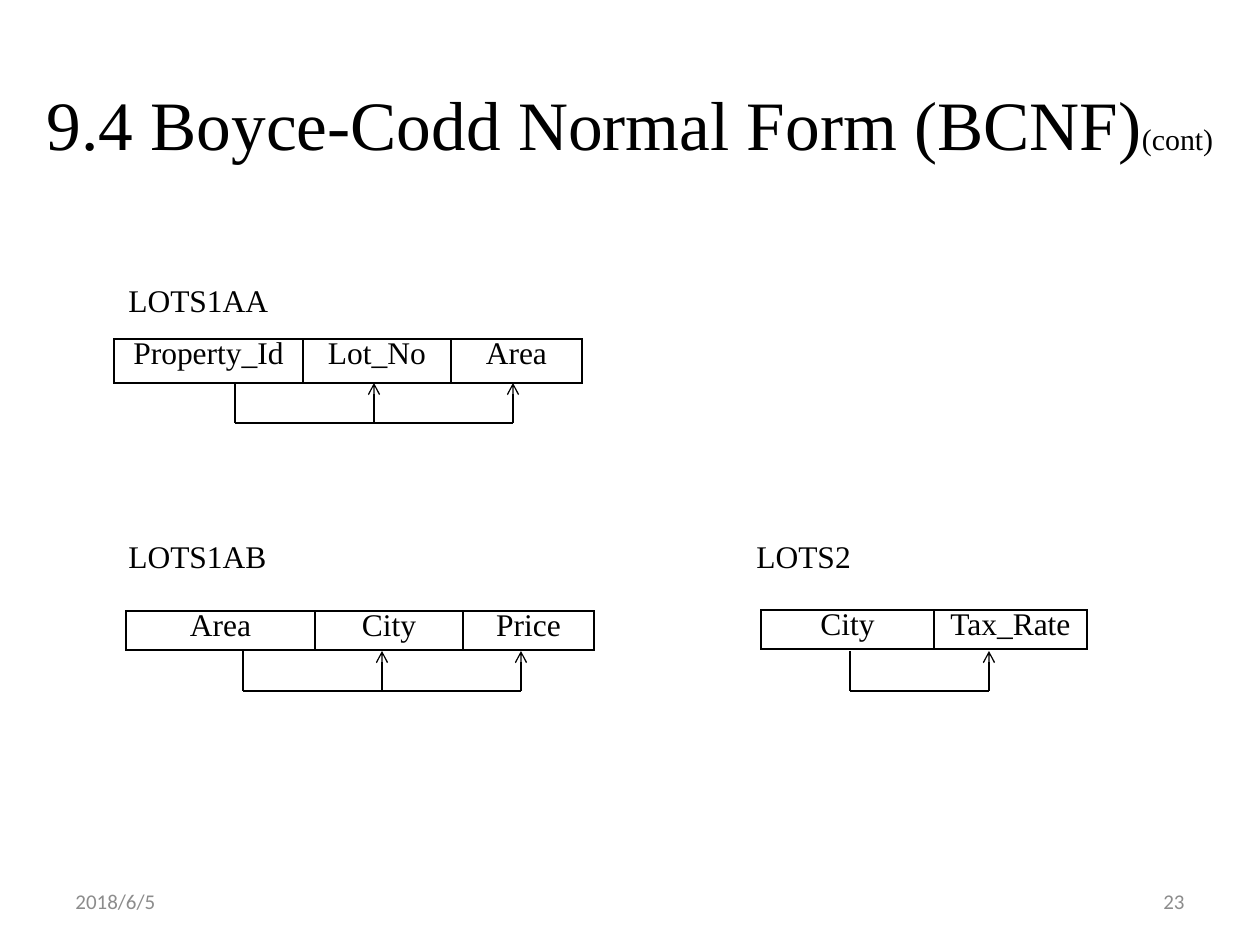
from lxml import etree
from pptx import Presentation
from pptx.dml.color import RGBColor
from pptx.enum.shapes import MSO_CONNECTOR
from pptx.enum.text import MSO_ANCHOR, PP_ALIGN
from pptx.oxml.ns import qn
from pptx.util import Emu, Pt

STRAIGHT = MSO_CONNECTOR.STRAIGHT
MIDDLE, TOP = MSO_ANCHOR.MIDDLE, MSO_ANCHOR.TOP
LEFT, CENTER, RIGHT = PP_ALIGN.LEFT, PP_ALIGN.CENTER, PP_ALIGN.RIGHT
BLACK = RGBColor(0, 0, 0)
GRAY = RGBColor(0x8C, 0x8C, 0x8C)
SERIF, SANS = "Times New Roman", "Calibri"
TITLE = [("9.4 Boyce-Codd Normal Form (BCNF)", 39.6), ("(cont)", 17.1)]
FOOTERS = [("2018/6/5", 63, LEFT), ("23", 903, RIGHT)]
ARROW_GAP = 139
RELATIONS = [
    {"name": "LOTS1AA", "label": (116, 275), "table": (114, 339), "height": 44,
     "columns": [("Property_Id", 189), ("Lot_No", 148), ("Area", 131)],
     "bracket": (235, 383, 423)},
    {"name": "LOTS1AB", "label": (116, 531), "table": (126, 611), "height": 39,
     "columns": [("Area", 189), ("City", 148), ("Price", 131)],
     "bracket": (243, 651, 691)},
    {"name": "LOTS2", "label": (744, 531), "table": (761, 610), "height": 39,
     "columns": [("City", 173), ("Tax_Rate", 153)],
     "bracket": (850, 651, 691)},
]


def px(length):
    return Emu(round(length * 914400 / 126))


def style(para, size, font, color, align):
    para.alignment = align
    para.font.size = Pt(size)
    para.font.name = font
    para.font.color.rgb = color


def add_text(page, text, place, size, font, color, align, anchor):
    box = page.shapes.add_textbox(*map(px, place))
    frame = box.text_frame
    frame.word_wrap = True
    frame.vertical_anchor = anchor
    frame.text = text
    style(frame.paragraphs[0], size, font, color, align)


def add_borders(cell):
    properties = cell._tc.get_or_add_tcPr()
    for index, side in enumerate(("lnL", "lnR", "lnT", "lnB")):
        border = etree.Element(qn(f"a:{side}"), w=str(Pt(1)))
        fill = etree.SubElement(border, qn("a:solidFill"))
        etree.SubElement(fill, qn("a:srgbClr"), val=str(BLACK))
        properties.insert(index, border)


def add_relation_table(page, left, top, height, columns):
    width = sum(size for _, size in columns)
    frame = page.shapes.add_table(1, len(columns), *map(px, (left, top, width, height)))
    table = frame.table
    table.first_row = table.horz_banding = False
    for index, (name, size) in enumerate(columns):
        table.columns[index].width = px(size)
        cell = table.cell(0, index)
        cell.text = name
        cell.fill.background()
        add_borders(cell)
        para = cell.text_frame.paragraphs[0]
        style(para, 18, SERIF, BLACK, CENTER)
        para.line_spacing = Pt(15)


def add_line(group, start, end, arrow=False):
    line = group.shapes.add_connector(STRAIGHT, *map(px, start + end))
    line.line.color.rgb = BLACK
    line.line.width = Pt(0.75)
    properties = line._element.spPr
    if arrow:
        etree.SubElement(properties.find(qn("a:ln")), qn("a:tailEnd"), type="arrow")
    etree.SubElement(properties, qn("a:effectLst"))


def add_dependency(page, left, top, bottom, targets):
    group = page.shapes.add_group_shape()
    add_line(group, (left, bottom), (left + targets * ARROW_GAP, bottom))
    for index in range(targets + 1):
        x = left + index * ARROW_GAP
        add_line(group, (x, bottom), (x, top), arrow=index > 0)


def main():
    deck = Presentation()
    deck.slide_width, deck.slide_height = px(1260), px(945)
    page = deck.slides.add_slide(deck.slide_layouts[5])

    title = page.shapes.title
    title.left, title.top, title.width, title.height = map(px, (15, 44, 1230, 158))
    title.text_frame.vertical_anchor = MIDDLE
    para = title.text_frame.paragraphs[0]
    style(para, TITLE[0][1], SERIF, BLACK, CENTER)
    for text, size in TITLE:
        span = para.add_run()
        span.text = text
        span.font.size = Pt(size)

    for relation in RELATIONS:
        columns = relation["columns"]
        add_relation_table(page, *relation["table"], relation["height"], columns)
        add_dependency(page, *relation["bracket"], len(columns) - 1)
        add_text(page, relation["name"], (*relation["label"], 189, 50),
                 18, SERIF, BLACK, LEFT, TOP)

    for text, left, align in FOOTERS:
        add_text(page, text, (left, 876, 294, 50), 12, SANS, GRAY, align, MIDDLE)

    deck.save("out.pptx")


if __name__ == "__main__":
    main()
